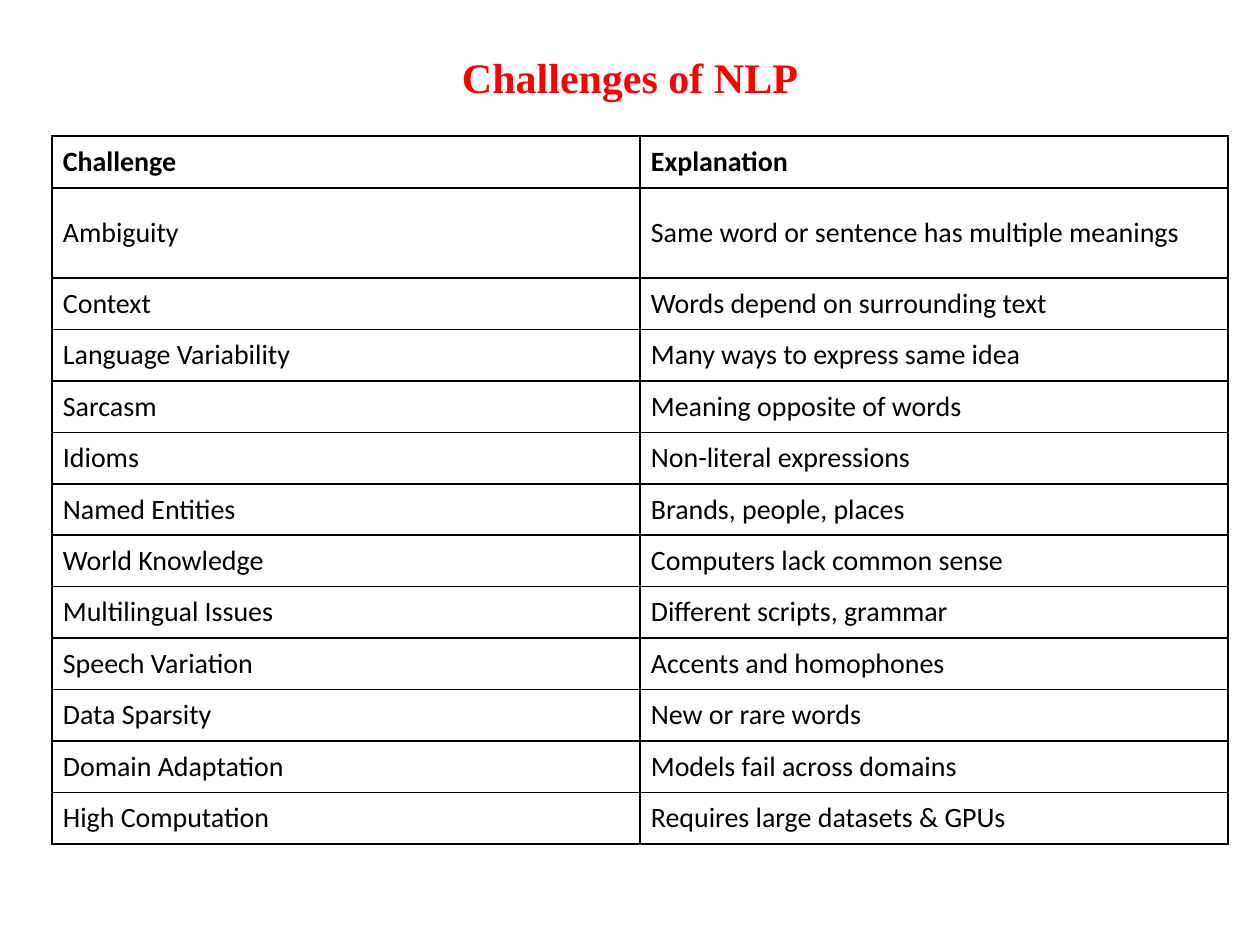
from dataclasses import dataclass

from lxml import etree
from pptx import Presentation
from pptx.dml.color import RGBColor
from pptx.enum.text import MSO_ANCHOR, PP_ALIGN
from pptx.oxml.ns import qn
from pptx.util import Pt

EMU_PER_PX = 914400 / 126
MIDDLE = MSO_ANCHOR.MIDDLE
CENTER = PP_ALIGN.CENTER
LEFT = PP_ALIGN.LEFT

RED = RGBColor(0xFF, 0x00, 0x00)
BLACK = RGBColor(0x00, 0x00, 0x00)
WHITE = RGBColor(0xFF, 0xFF, 0xFF)

SLIDE_WIDTH, SLIDE_HEIGHT = 1260, 945
TABLE_LEFT, TABLE_TOP = 52, 136
COLUMN_WIDTH = 588
HEADER_HEIGHT = 52
FIRST_ROW_HEIGHT = 90
OTHER_ROWS_HEIGHT = 566
BORDER_SIDES = ("a:lnL", "a:lnR", "a:lnT", "a:lnB")

TITLE_FONT = {"name": "Times New Roman", "size": Pt(24), "bold": True}
HEADER_FONT = {"name": "Calibri", "size": Pt(16), "bold": True}
BODY_FONT = {**HEADER_FONT, "bold": False}


@dataclass(frozen=True)
class Challenge:
    name: str
    explanation: str


HEADER = Challenge("Challenge", "Explanation")
CHALLENGES = [
    Challenge("Ambiguity", "Same word or sentence has multiple meanings"),
    Challenge("Context", "Words depend on surrounding text"),
    Challenge("Language Variability", "Many ways to express same idea"),
    Challenge("Sarcasm", "Meaning opposite of words"),
    Challenge("Idioms", "Non-literal expressions"),
    Challenge("Named Entities", "Brands, people, places"),
    Challenge("World Knowledge", "Computers lack common sense"),
    Challenge("Multilingual Issues", "Different scripts, grammar"),
    Challenge("Speech Variation", "Accents and homophones"),
    Challenge("Data Sparsity", "New or rare words"),
    Challenge("Domain Adaptation", "Models fail across domains"),
    Challenge("High Computation", "Requires large datasets & GPUs"),
]


def px(length: int) -> int:
    return round(length * EMU_PER_PX)


def write_text(text_frame, text: str, font: dict, color: RGBColor, align) -> None:
    paragraph = text_frame.paragraphs[0]
    paragraph.alignment = align
    run = paragraph.add_run()
    run.text = text
    for attribute, value in font.items():
        setattr(run.font, attribute, value)
    run.font.color.rgb = color


def add_title(slide, text: str) -> None:
    title = slide.shapes.add_textbox(px(63), px(38), px(1134), px(78))
    title.text_frame.word_wrap = True
    title.text_frame.vertical_anchor = MIDDLE
    write_text(title.text_frame, text, TITLE_FONT, RED, CENTER)


def add_borders(cell) -> None:
    properties = cell._tc.get_or_add_tcPr()
    for position, side in enumerate(BORDER_SIDES):
        line = etree.Element(qn(side), w=str(Pt(1)))
        fill = etree.SubElement(line, qn("a:solidFill"))
        etree.SubElement(fill, qn("a:srgbClr"), val=str(BLACK))
        properties.insert(position, line)


def fill_cell(cell, text: str, font: dict) -> None:
    margins = {"margin_left": px(11), "margin_right": px(11),
               "margin_top": px(5), "margin_bottom": px(5)}
    for attribute, value in {**margins, "vertical_anchor": MIDDLE}.items():
        setattr(cell, attribute, value)
    cell.fill.solid()
    cell.fill.fore_color.rgb = WHITE
    add_borders(cell)
    write_text(cell.text_frame, text, font, BLACK, LEFT)


def add_challenge_table(slide, challenges: list[Challenge]) -> None:
    rows = [HEADER, *challenges]
    other_count = len(challenges) - 1
    heights = [px(HEADER_HEIGHT), px(FIRST_ROW_HEIGHT)]
    heights += [px(OTHER_ROWS_HEIGHT) // other_count] * other_count
    table = slide.shapes.add_table(
        len(rows), 2, px(TABLE_LEFT), px(TABLE_TOP),
        px(2 * COLUMN_WIDTH), sum(heights)).table
    table.first_row = False
    table.horz_banding = False
    for column in table.columns:
        column.width = px(COLUMN_WIDTH)
    for index, (challenge, height) in enumerate(zip(rows, heights)):
        table.rows[index].height = height
        font = HEADER_FONT if challenge is HEADER else BODY_FONT
        fill_cell(table.cell(index, 0), challenge.name, font)
        fill_cell(table.cell(index, 1), challenge.explanation, font)


def main() -> None:
    presentation = Presentation()
    presentation.slide_width = px(SLIDE_WIDTH)
    presentation.slide_height = px(SLIDE_HEIGHT)
    slide = presentation.slides.add_slide(presentation.slide_layouts[6])
    add_title(slide, "Challenges of NLP")
    add_challenge_table(slide, CHALLENGES)
    presentation.save("out.pptx")


if __name__ == "__main__":
    main()
